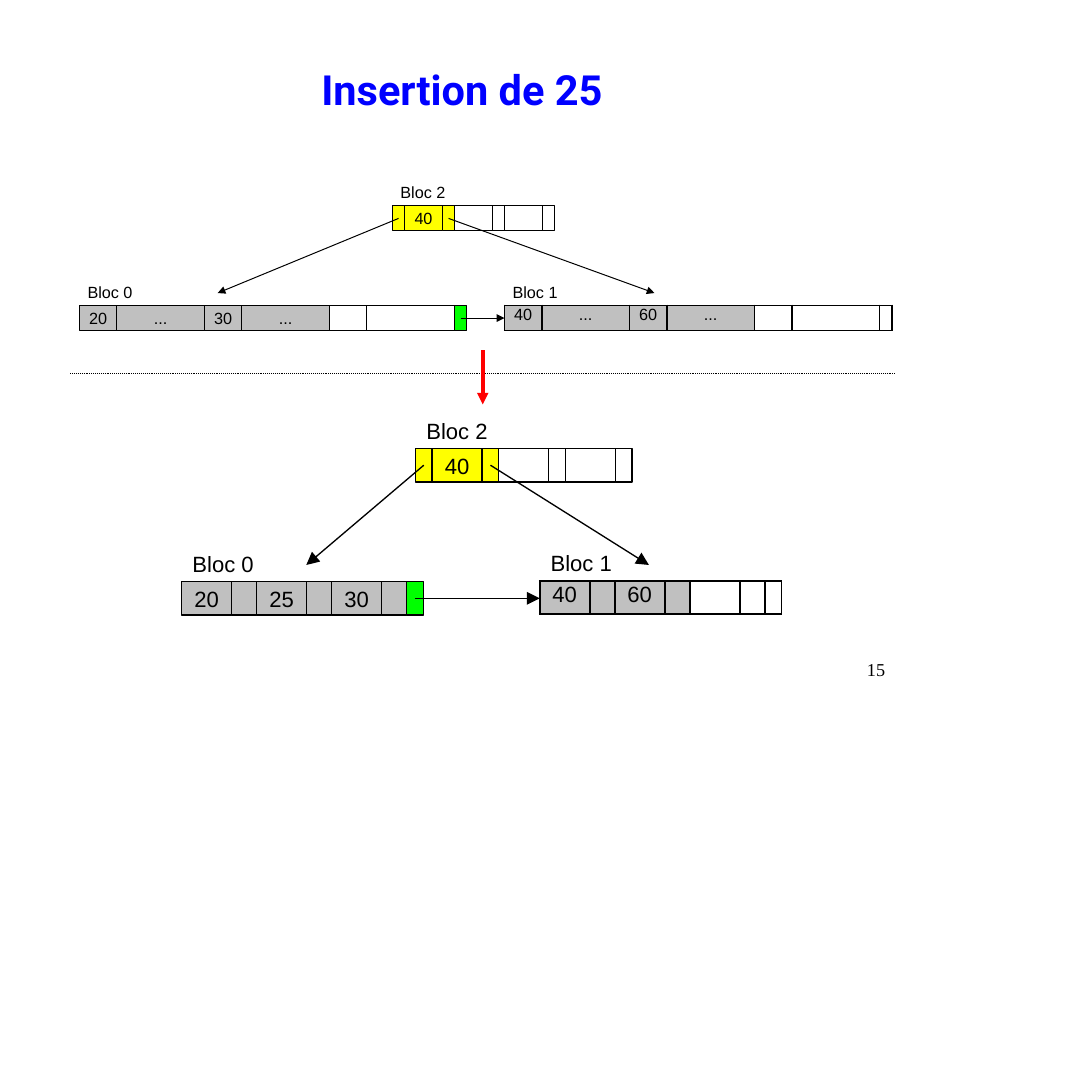
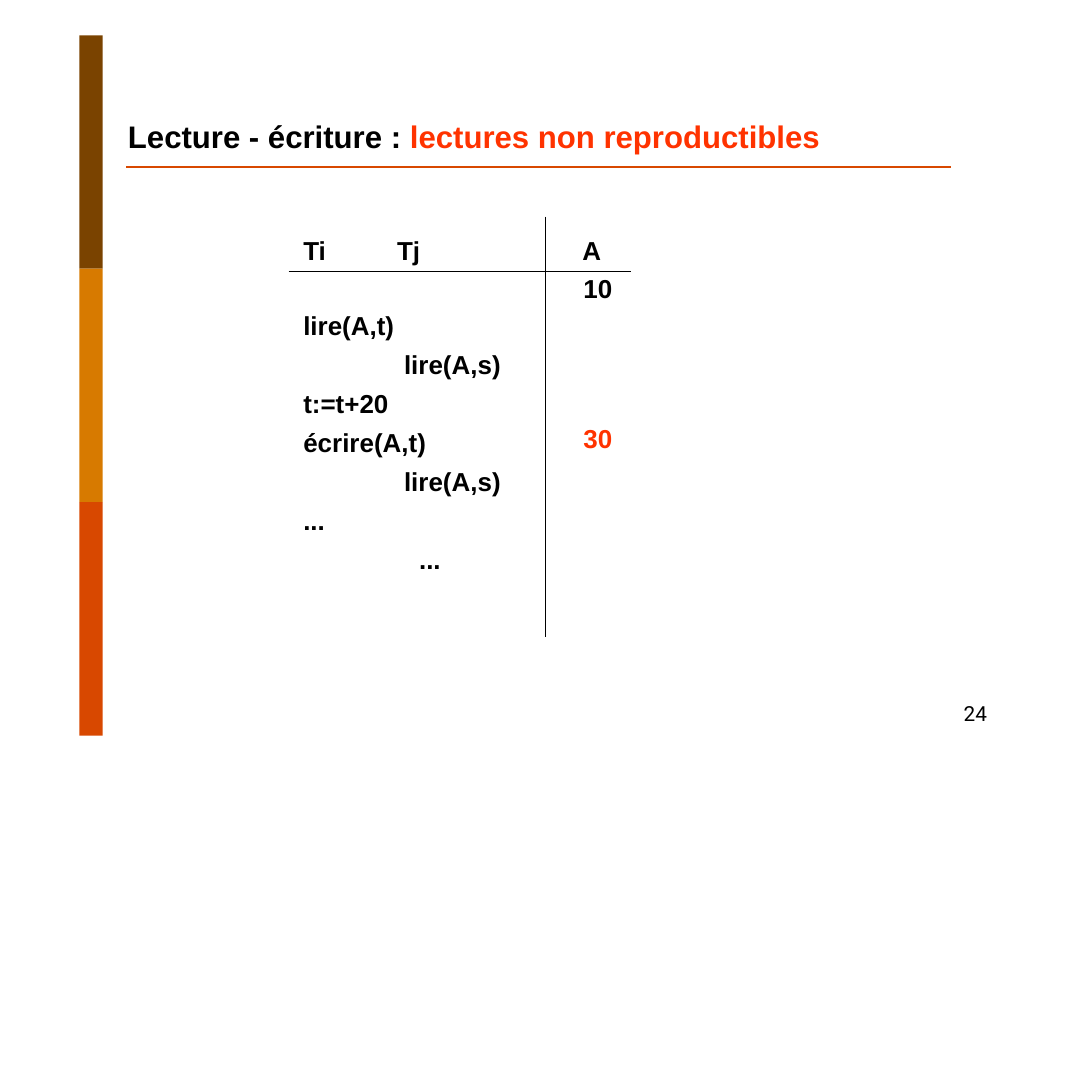
from itertools import accumulate
from lxml.etree import SubElement
from pptx import Presentation
from pptx.dml.color import RGBColor
from pptx.enum.dml import MSO_LINE
from pptx.enum.shapes import MSO_CONNECTOR as LINK, MSO_SHAPE as SHAPE
from pptx.enum.text import MSO_ANCHOR as ANCHOR, PP_ALIGN as ALIGN
from pptx.oxml.ns import qn
from pptx.util import Cm, Pt

# Shared look
BLACK, RED, BLUE = "000000", "FF0000", "0000FF"
ACCENT, ORANGE = "FF3300", "D84800"
FILLS = {"Y": "FFFF00", "G": "C0C0C0", "N": "00FF00", "W": None}
BARS = ["7A4300", "D77A00", ORANGE]

# Trees: a pointer is 1 unit wide, a key 3 units, a cell 2 units high
ROOT = (["", "40", "", "", "", "", ""], "YYYWWWW")
TREES = [
    dict(key=1.02, data=7, size=12.5, line=0.77, edge=1, head="med",
         root=(10.67, 5.6), left=(2.16, 8.31), right=(13.72, 8.3),
         tips=(5.92, 17.8),
         low=(["20", "...", "30", "...", "", "", ""], "GGGGWWN"),
         high=(["40", "...", "60", "...", "", "", ""], "GGGGWWW")),
    dict(key=1.36, data=1.5, size=17, line=1.03, edge=1.5, head="lg",
         root=(11.3, 12.2), left=(4.94, 15.82), right=(14.68, 15.8),
         tips=(8.33, 17.65),
         low=(["20", "", "25", "", "30", "", ""], "GGGGGGN"),
         high=(["40", "", "60", "", "", "", ""], "GGGGWWW")),
]

# Schedule: single entries as (row, left, text, colour), steps as (text, indent)
TOP, PITCH, STEPX = 6.39, 1.02, 8.25
MARKS = [(0, STEPX, "Ti", BLACK), (0, 10.8, "Tj", BLACK),
         (0, 15.84, "A", BLACK), (1, 15.87, "10", BLACK),
         (5, 15.87, "30", ACCENT)]
STEPS = [("lire(A,t)", 0), ("lire(A,s)", 2.74), ("t:=t+20", 0),
         ("écrire(A,t)", 0), ("lire(A,s)", 2.74), ("...", 0), ("...", 3.15)]


def rgb(code):
    return RGBColor.from_string(code)


def paint(part, code):
    if code:
        part.fill.solid()
        part.fill.fore_color.rgb = rgb(code)
    else:
        part.fill.background()


def put(frame, lines, size=20, font="Arial", color=BLACK, bold=False,
        align=ALIGN.LEFT, anchor=ANCHOR.TOP, gap=0, wrap=True):
    """Write lines; each is a list of (text, colour) runs or a plain text."""
    frame.margin_left = frame.margin_right = 0
    frame.margin_top = frame.margin_bottom = 0
    frame.word_wrap = wrap
    frame.vertical_anchor = anchor
    for i, line in enumerate([lines] if isinstance(lines, str) else lines):
        para = frame.add_paragraph() if i else frame.paragraphs[0]
        para.alignment = align
        if i:
            para.space_before = Pt(gap)
        for words, code in [(line, color)] if isinstance(line, str) else line:
            run = para.add_run()
            run.text = words
            run.font.name, run.font.size = font, Pt(size)
            run.font.bold = bold
            run.font.color.rgb = rgb(code)
    return frame


def label(slide, x, y, w, h, lines, **form):
    box = slide.shapes.add_textbox(Cm(x), Cm(y), Cm(w), Cm(h))
    return put(box.text_frame, lines, **form)


def title(slide, x, y, w, h, lines, **form):
    box = slide.shapes.title
    box.left, box.top, box.width, box.height = Cm(x), Cm(y), Cm(w), Cm(h)
    put(box.text_frame, lines, bold=True, **form)


def rect(slide, x, y, w, h, fill, line=0):
    box = slide.shapes.add_shape(SHAPE.RECTANGLE, Cm(x), Cm(y), Cm(w), Cm(h))
    box.shadow.inherit = False
    paint(box, fill)
    if line:
        box.line.color.rgb = rgb(BLACK)
        box.line.width = Pt(line)
    else:
        box.line.fill.background()
    return box


def link(slide, x1, y1, x2, y2, width=0.75, color=BLACK, head=None):
    part = slide.shapes.add_connector(LINK.STRAIGHT,
                                      Cm(x1), Cm(y1), Cm(x2), Cm(y2))
    part.line.color.rgb = rgb(color)
    part.line.width = Pt(width)
    if head:
        SubElement(part.line._get_or_add_ln(), qn("a:tailEnd"),
                   type="triangle", w=head, len=head)
    SubElement(part._element.spPr, qn("a:effectLst"))
    return part


def row(slide, spot, sizes, high, block, tree):
    """Draw a block as a row of boxes."""
    x, y = spot
    lefts = accumulate(sizes, initial=x)
    for left, wide, words, tone in zip(lefts, sizes, *block):
        box = rect(slide, left, y, wide, high, FILLS[tone], tree["line"])
        if words:
            put(box.text_frame, words, size=tree["size"], align=ALIGN.CENTER,
                anchor=ANCHOR.MIDDLE, wrap=False)


def grid(slide, spot, sizes, high, block, tree):
    """Draw a block as a table of one row."""
    x, y = spot
    table = slide.shapes.add_table(1, len(sizes), Cm(x), Cm(y),
                                   Cm(sum(sizes)), Cm(high)).table
    table.first_row = table.horz_banding = False
    table.rows[0].height = Cm(high)
    for i, (wide, words, tone) in enumerate(zip(sizes, *block)):
        table.columns[i].width = Cm(wide)
        cell = table.cell(0, i)
        cell.margin_left = cell.margin_right = cell.margin_bottom = 0
        cell.margin_top = Cm(0.03)
        para = cell.text_frame.paragraphs[0]
        para.alignment = ALIGN.CENTER
        if words:
            run = para.add_run()
            run.text = words
            run.font.name, run.font.size = "Arial", Pt(tree["size"])
            run.font.color.rgb = rgb(BLACK)
        else:
            SubElement(para._p, qn("a:endParaRPr"),
                       sz=str(int(tree["size"] * 100)))
        props = cell._tc.get_or_add_tcPr()
        for side in ("lnL", "lnR", "lnT", "lnB"):
            edge = SubElement(props, qn("a:" + side),
                              w=str(Pt(tree["edge"])))
            fill = SubElement(edge, qn("a:solidFill"))
            SubElement(fill, qn("a:srgbClr"), val=BLACK)
        paint(cell, FILLS[tone])


def draw(slide, tree):
    """Draw a root, its two leaves, their labels and the arrows."""
    key = tree["key"]
    unit = key / 3
    high = 2 * unit
    inner = [unit, key] * 3 + [unit]
    leaf = [key, tree["data"] * unit] * 3 + [unit]
    root, left, right = tree["root"], tree["left"], tree["right"]
    row(slide, root, inner, high, ROOT, tree)
    row(slide, left, leaf, high, tree["low"], tree)
    grid(slide, right, leaf, high, tree["high"], tree)
    for num, (x, y) in enumerate([left, right, root]):
        label(slide, x + 0.65 * unit, y - high + 0.05, 5 * unit, high - 0.08,
              f"Bloc {num}", size=tree["size"], wrap=False)
    form = dict(width=tree["line"], head=tree["head"])
    for i, tip in enumerate(tree["tips"]):
        link(slide, root[0] + unit / 2 + i * (unit + key), root[1] + unit,
             tip, left[1] - unit, **form)
    mid = left[1] + unit
    link(slide, left[0] + sum(leaf) - unit / 2, mid, right[0], mid, **form)


def insertion(slide):
    title(slide, 8.74, 1.75, 8.8, 1.4, "Insertion de 25",
          size=32, font="Roboto", color=BLUE, wrap=False)
    dots = link(slide, 1.91, 10.16, 24.33, 10.16)
    dots.line.dash_style = MSO_LINE.ROUND_DOT
    link(slide, 13.13, 9.53, 13.13, 11, width=3, color=RED, head="med")
    for tree in TREES:
        draw(slide, tree)
    label(slide, 23.58, 17.91, 0.7, 0.6, "15", size=14,
          font="Times New Roman", wrap=False)


def reading(slide):
    for i, tone in enumerate(BARS):
        rect(slide, 2.16, 0.96 + i * 6.35, 0.63, 6.35, tone)
    link(slide, 3.43, 4.55, 25.86, 4.55, width=1.5, color=ORANGE)
    title(slide, 3.48, 3.18, 20.5, 1,
          [[("Lecture - écriture : ", BLACK),
            ("lectures non reproductibles", ACCENT)]], size=24)
    # Schedule
    for line, x, words, tone in MARKS:
        label(slide, x, TOP + line * PITCH, 0.9, 0.85, words,
              color=tone, bold=True, wrap=False)
    frame = label(slide, STEPX, TOP + 2 * PITCH, 5.5, len(STEPS) * PITCH,
                  [words for words, _ in STEPS], bold=True, gap=6)
    for para, (_, indent) in zip(frame.paragraphs, STEPS):
        props = para._p.get_or_add_pPr()
        props.set("marL", str(Cm(indent)))
        props.set("indent", "0")
    link(slide, 7.85, 7.37, 17.17, 7.37)
    link(slide, 14.83, 5.89, 14.83, 17.32)
    label(slide, 26.21, 19.06, 0.8, 0.7, "24", size=16, font="Roboto",
          wrap=False)


def main():
    deck = Presentation()
    deck.slide_width = deck.slide_height = Cm(29.7)
    for build in (insertion, reading):
        build(deck.slides.add_slide(deck.slide_layouts[5]))
    deck.save("out.pptx")


if __name__ == "__main__":
    main()
